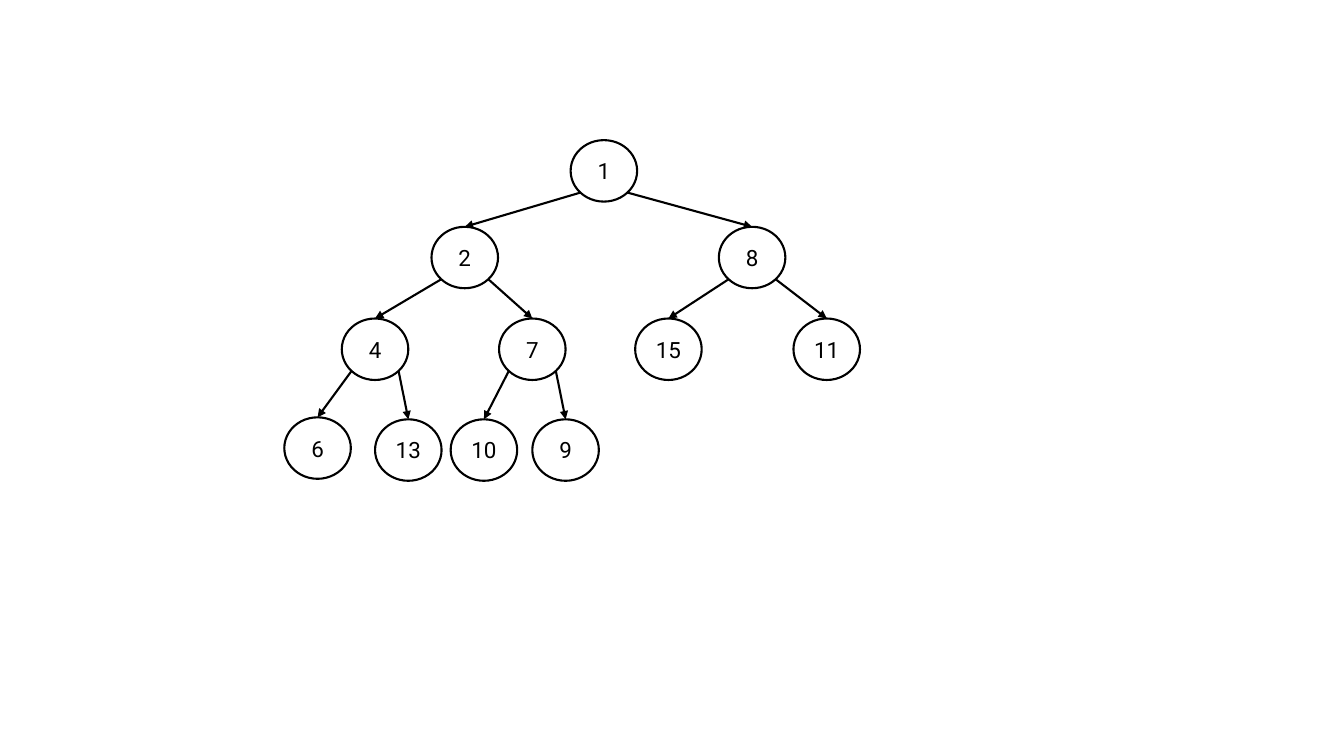
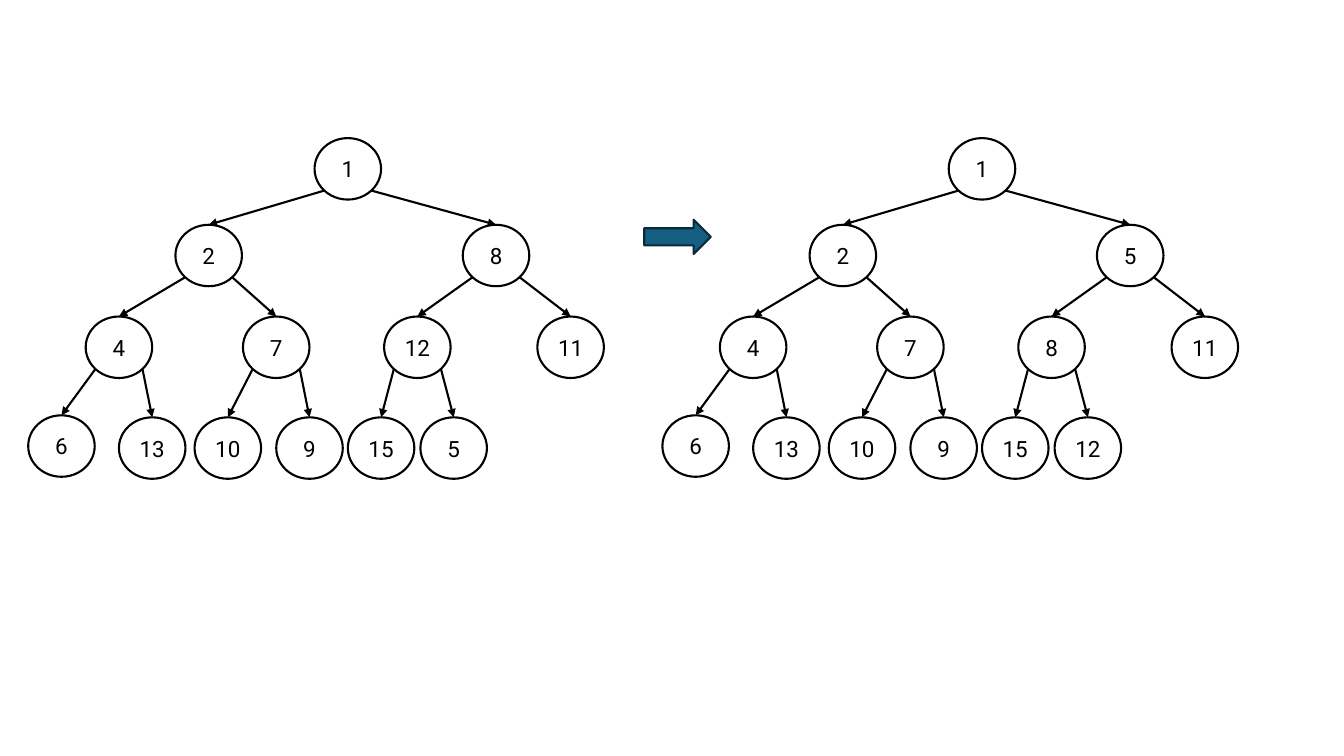
from dataclasses import dataclass
from math import sqrt

from lxml.etree import SubElement
from pptx import Presentation
from pptx.dml.color import RGBColor
from pptx.enum.shapes import MSO_CONNECTOR, MSO_SHAPE
from pptx.enum.text import MSO_ANCHOR, PP_ALIGN
from pptx.oxml.ns import qn
from pptx.util import Inches, Pt


@dataclass(frozen=True)
class Theme:
    ink: RGBColor = RGBColor(0x00, 0x00, 0x00)
    paper: RGBColor = RGBColor(0xFF, 0xFF, 0xFF)
    accent: RGBColor = RGBColor(0x15, 0x60, 0x82)
    accent_dark: RGBColor = RGBColor(0x09, 0x2A, 0x39)
    font: str = "Roboto"
    text_size: Pt = Pt(16)
    line_width: Pt = Pt(1.5)
    node_width: float = 0.66
    node_height: float = 0.61


# Node offsets from the root in level order: the children of i are 2i + 1 and 2i + 2
NODE_OFFSETS = [
    (0, 0),
    (-1.38, 0.86), (1.47, 0.86),
    (-2.27, 1.77), (-0.71, 1.77), (0.69, 1.77), (2.21, 1.77),
    (-2.84, 2.75), (-1.94, 2.77), (-1.19, 2.77), (-0.38, 2.77),
    (0.33, 2.77), (1.05, 2.77),
]
# Connection sites of an ellipse
TOP, BOTTOM_LEFT, BOTTOM_RIGHT = 0, 3, 5


class Deck:
    def __init__(self, theme):
        self.theme = theme
        self.prs = Presentation()
        self.prs.slide_width, self.prs.slide_height = Inches(13.33), Inches(7.5)
        self.slide = None

    def new_slide(self):
        self.slide = self.prs.slides.add_slide(self.prs.slide_layouts[6])

    def shape(self, kind, left, top, width, height, fill, line):
        sp = self.slide.shapes.add_shape(
            kind, Inches(left), Inches(top), Inches(width), Inches(height))
        sp.shadow.inherit = False
        sp.fill.solid()
        sp.fill.fore_color.rgb = fill
        sp.line.color.rgb = line
        sp.line.width = self.theme.line_width
        return sp

    def node(self, value, left, top):
        t = self.theme
        sp = self.shape(MSO_SHAPE.OVAL, left, top, t.node_width, t.node_height,
                        t.paper, t.ink)
        tf = sp.text_frame
        tf.margin_left = tf.margin_right = 0
        tf.vertical_anchor = MSO_ANCHOR.MIDDLE
        p = tf.paragraphs[0]
        p.text = str(value)
        p.alignment = PP_ALIGN.CENTER
        p.font.name, p.font.size = t.font, t.text_size
        p.font.color.rgb = t.ink
        return sp

    def edge(self, parent, child, is_left):
        """Glue an arrow from a lower diagonal site of parent to the top of child."""
        cxn = self.slide.shapes.add_connector(MSO_CONNECTOR.STRAIGHT, 0, 0, 0, 0)
        cxn.begin_connect(parent, TOP)
        cxn.end_connect(child, TOP)
        # begin_connect knows only four sites, so the diagonal one is set here
        site = BOTTOM_LEFT if is_left else BOTTOM_RIGHT
        cxn._element.nvCxnSpPr.cNvCxnSpPr.stCxn.idx = site
        side = -1 if is_left else 1
        cxn.begin_x = int(parent.left + parent.width / 2 * (1 + side / sqrt(2)))
        cxn.begin_y = int(parent.top + parent.height / 2 * (1 + 1 / sqrt(2)))
        cxn.line.color.rgb = self.theme.ink
        cxn.line.width = self.theme.line_width
        SubElement(cxn.line._get_or_add_ln(), qn("a:tailEnd"), type="triangle")
        SubElement(cxn._element.spPr, qn("a:effectLst"))

    def heap(self, values, left, top, shifts=None):
        """Draw a heap given in level order; shifts moves single nodes sideways."""
        shifts = shifts or {}
        nodes = []
        for i, (value, (dx, dy)) in enumerate(zip(values, NODE_OFFSETS)):
            nodes.append(self.node(value, left + dx + shifts.get(i, 0), top + dy))
            if i:
                self.edge(nodes[(i - 1) // 2], nodes[i], is_left=i % 2 == 1)

    def step_arrow(self, left, top):
        self.shape(MSO_SHAPE.RIGHT_ARROW, left, top, 0.66, 0.34,
                   self.theme.accent, self.theme.accent_dark)


def main():
    deck = Deck(Theme())

    deck.new_slide()
    deck.heap([1, 2, 8, 4, 7, 15, 11, 6, 13, 10, 9], 5.66, 1.39, shifts={5: -0.05})

    deck.new_slide()
    deck.heap([1, 2, 8, 4, 7, 12, 11, 6, 13, 10, 9, 15, 5], 3.12, 1.37)
    deck.heap([1, 2, 5, 4, 7, 8, 11, 6, 13, 10, 9, 15, 12], 9.41, 1.37)
    deck.step_arrow(6.39, 2.18)

    deck.prs.save("out.pptx")


if __name__ == "__main__":
    main()
